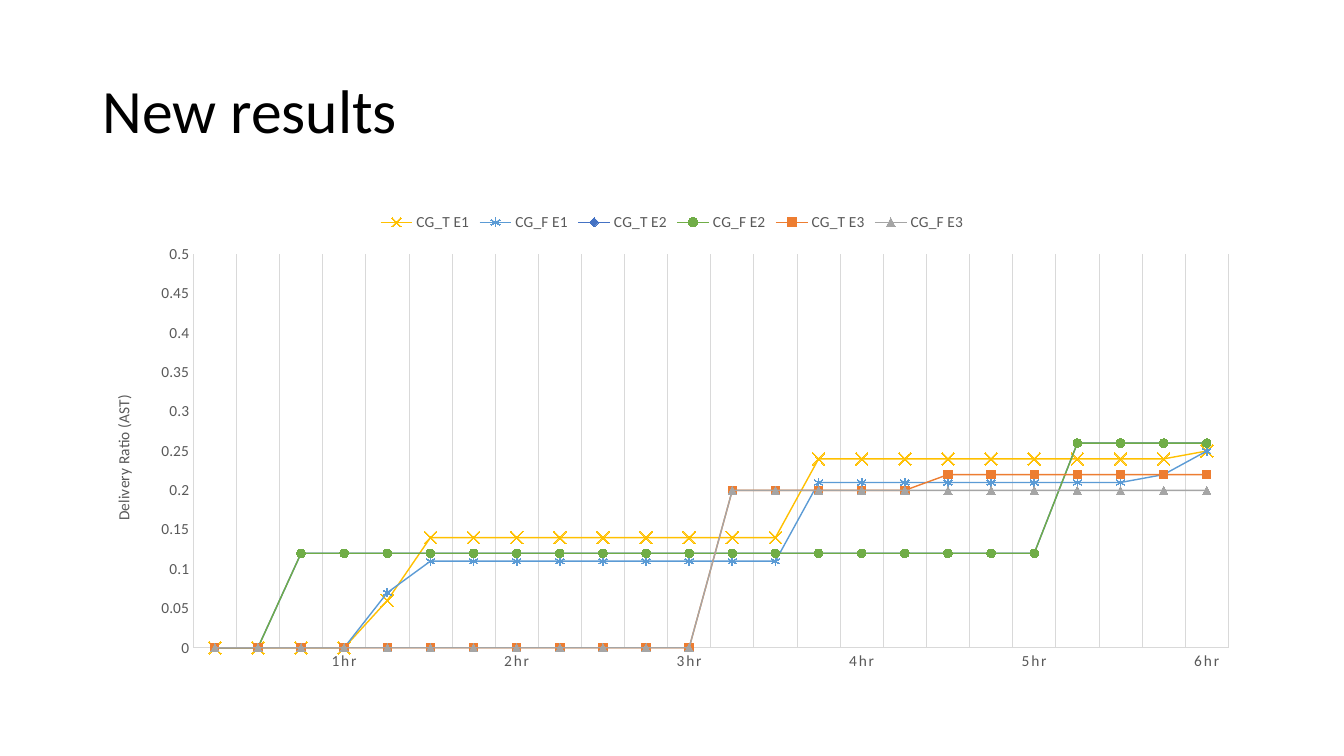
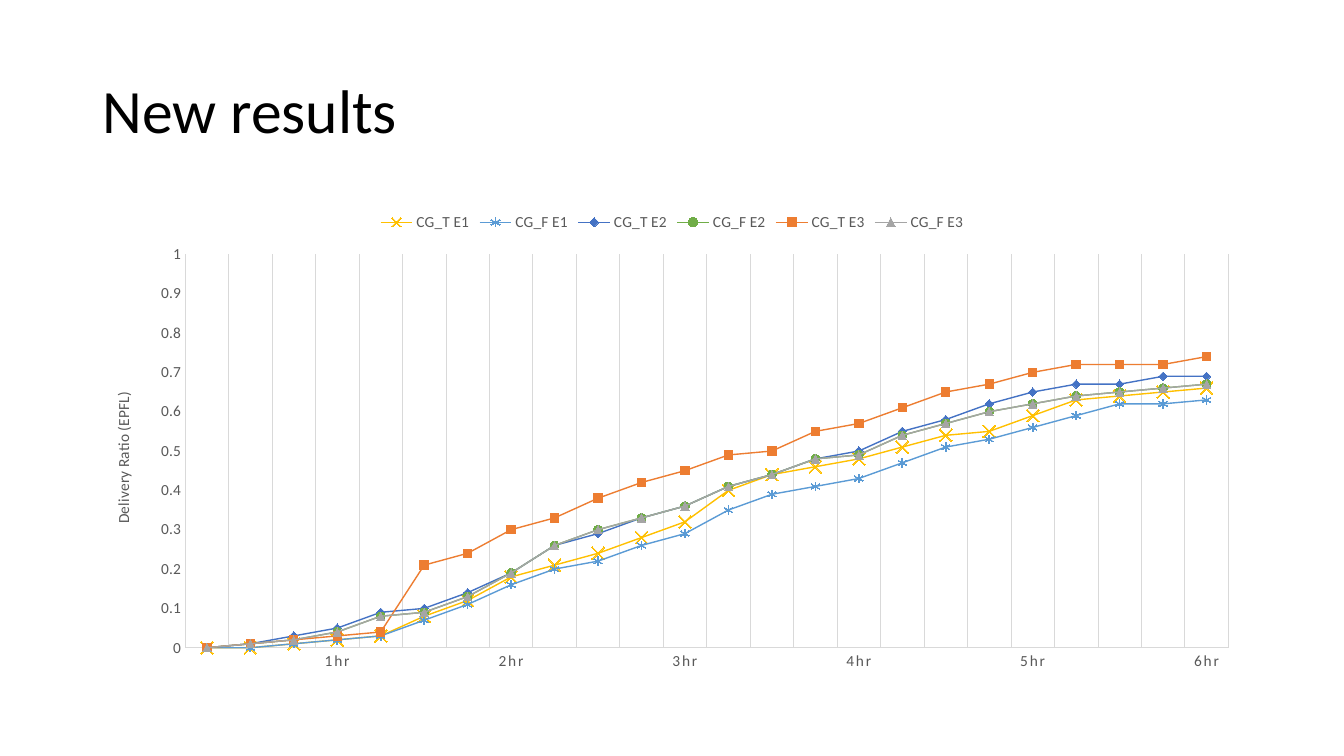
from dataclasses import dataclass

from lxml import etree
from pptx import Presentation
from pptx.chart.axis import CategoryAxis, ValueAxis
from pptx.chart.chart import Chart
from pptx.chart.data import CategoryChartData
from pptx.dml.color import RGBColor
from pptx.enum.chart import XL_CHART_TYPE, XL_LEGEND_POSITION, XL_MARKER_STYLE, XL_TICK_MARK
from pptx.enum.text import MSO_ANCHOR, PP_ALIGN
from pptx.oxml.ns import qn
from pptx.presentation import Presentation as Deck
from pptx.slide import Slide
from pptx.text.text import Font
from pptx.util import Pt

FONT = "Calibri"
BLACK = RGBColor(0x00, 0x00, 0x00)
TEXT_GREY = RGBColor(0x59, 0x59, 0x59)
RULE_GREY = RGBColor(0xD9, 0xD9, 0xD9)
GOLD = RGBColor(0xFF, 0xC0, 0x00)
SKY = RGBColor(0x5B, 0x9B, 0xD5)
BLUE = RGBColor(0x44, 0x72, 0xC4)
GREEN = RGBColor(0x70, 0xAD, 0x47)
ORANGE = RGBColor(0xED, 0x7D, 0x31)
GREY = RGBColor(0xA5, 0xA5, 0xA5)

LEFT, WIDTH = Pt(66), Pt(828)
HOURS = 6
CATEGORIES = [label for h in range(1, HOURS + 1) for label in ("", "", "", f"{h}hr")]


@dataclass(frozen=True)
class SeriesStyle:
    name: str
    color: RGBColor
    marker: XL_MARKER_STYLE
    size: int = 6
    filled: bool = True


@dataclass(frozen=True)
class Result:
    axis_title: str
    maximum: float
    step: float
    plot_left: float
    values: list[list[float]]


STYLES = [
    SeriesStyle("CG_T E1", GOLD, XL_MARKER_STYLE.X, 9, False),
    SeriesStyle("CG_F E1", SKY, XL_MARKER_STYLE.STAR, 6, False),
    SeriesStyle("CG_T E2", BLUE, XL_MARKER_STYLE.DIAMOND),
    SeriesStyle("CG_F E2", GREEN, XL_MARKER_STYLE.CIRCLE),
    SeriesStyle("CG_T E3", ORANGE, XL_MARKER_STYLE.SQUARE),
    SeriesStyle("CG_F E3", GREY, XL_MARKER_STYLE.TRIANGLE),
]

AST_E2 = [0] * 2 + [0.12] * 18 + [0.26] * 4
EPFL_F = [0, 0.01, 0.02, 0.04, 0.08, 0.09, 0.13, 0.19, 0.26, 0.3, 0.33, 0.36,
          0.41, 0.44, 0.48, 0.49, 0.54, 0.57, 0.6, 0.62, 0.64, 0.65, 0.66, 0.67]

RESULTS = [
    Result("Delivery Ratio (AST)", 0.5, 0.05, 0.087, [
        [0] * 4 + [0.06] + [0.14] * 9 + [0.24] * 9 + [0.25],
        [0] * 4 + [0.07] + [0.11] * 9 + [0.21] * 8 + [0.22, 0.25],
        AST_E2,
        AST_E2,
        [0] * 12 + [0.2] * 5 + [0.22] * 7,
        [0] * 12 + [0.2] * 12,
    ]),
    Result("Delivery Ratio (EPFL)", 1, 0.1, 0.08, [
        [0, 0, 0.01, 0.02, 0.03, 0.08, 0.12, 0.18, 0.21, 0.24, 0.28, 0.32,
         0.4, 0.44, 0.46, 0.48, 0.51, 0.54, 0.55, 0.59, 0.63, 0.64, 0.65, 0.66],
        [0, 0, 0.01, 0.02, 0.03, 0.07, 0.11, 0.16, 0.2, 0.22, 0.26, 0.29,
         0.35, 0.39, 0.41, 0.43, 0.47, 0.51, 0.53, 0.56, 0.59, 0.62, 0.62, 0.63],
        [0, 0.01, 0.03, 0.05, 0.09, 0.1, 0.14, 0.19, 0.26, 0.29, 0.33, 0.36,
         0.41, 0.44, 0.48, 0.5, 0.55, 0.58, 0.62, 0.65, 0.67, 0.67, 0.69, 0.69],
        EPFL_F,
        [0, 0.01, 0.02, 0.03, 0.04, 0.21, 0.24, 0.3, 0.33, 0.38, 0.42, 0.45,
         0.49, 0.5, 0.55, 0.57, 0.61, 0.65, 0.67, 0.7, 0.72, 0.72, 0.72, 0.74],
        EPFL_F,
    ]),
]


def set_font(font: Font, size: float, color: RGBColor) -> None:
    font.name, font.size, font.bold = FONT, Pt(size), False
    font.color.rgb = color


def add_title(slide: Slide, text: str) -> None:
    sp = slide.shapes.title
    sp.left, sp.top, sp.width, sp.height = LEFT, Pt(28.75), WIDTH, Pt(104.5)
    tf = sp.text_frame
    tf.vertical_anchor = MSO_ANCHOR.MIDDLE
    p = tf.paragraphs[0]
    p.alignment, p.line_spacing = PP_ALIGN.LEFT, 0.9
    r = p.add_run()
    r.text = text
    set_font(r.font, 44, BLACK)


def style_axis(axis: CategoryAxis | ValueAxis) -> None:
    axis.major_tick_mark = axis.minor_tick_mark = XL_TICK_MARK.NONE
    axis.format.line.color.rgb = RULE_GREY
    axis.format.line.width = Pt(0.75)
    set_font(axis.tick_labels.font, 11, TEXT_GREY)


def add_axis_title(axis: ValueAxis, text: str) -> None:
    tf = axis.axis_title.text_frame
    body = tf._txBody.find(qn("a:bodyPr"))
    body.set("rot", "-5400000")
    body.set("vert", "horz")
    r = tf.paragraphs[0].add_run()
    r.text = text
    set_font(r.font, 11, TEXT_GREY)


def place_plot(chart: Chart, left: float) -> None:
    """Fix the inner plot area, in fractions of the chart, with a common right edge."""
    area = chart._chartSpace.find(".//" + qn("c:plotArea"))
    for old in area.findall(qn("c:layout")):
        area.remove(old)
    layout = etree.Element(qn("c:layout"))
    manual = etree.SubElement(layout, qn("c:manualLayout"))
    settings = [("layoutTarget", "inner"), ("xMode", "edge"), ("yMode", "edge"),
                ("x", left), ("y", 0.11), ("w", 0.98 - left), ("h", 0.82)]
    for tag, value in settings:
        etree.SubElement(manual, qn(f"c:{tag}")).set("val", str(value))
    area.insert(0, layout)


def style_series(chart: Chart) -> None:
    for series, style in zip(chart.plots[0].series, STYLES):
        series.smooth = False
        series.format.line.color.rgb = style.color
        series.format.line.width = Pt(1)
        marker = series.marker
        marker.style, marker.size = style.marker, style.size
        marker.format.line.color.rgb = style.color
        marker.format.line.width = Pt(0.75)
        if style.filled:
            marker.format.fill.solid()
            marker.format.fill.fore_color.rgb = style.color
        else:
            marker.format.fill.background()


def add_result_chart(slide: Slide, result: Result) -> None:
    data = CategoryChartData()
    data.categories = CATEGORIES
    for style, values in zip(STYLES, result.values):
        data.add_series(style.name, values)
    chart = slide.shapes.add_chart(
        XL_CHART_TYPE.LINE_MARKERS, LEFT, Pt(144), WIDTH, Pt(342.75), data).chart
    set_font(chart.font, 11, BLACK)
    chart.has_title = False
    chart.plots[0].vary_by_categories = False
    chart.has_legend = True
    chart.legend.position = XL_LEGEND_POSITION.TOP
    chart.legend.include_in_layout = False
    set_font(chart.legend.font, 11, TEXT_GREY)

    hours, ratio = chart.category_axis, chart.value_axis
    style_axis(hours)
    hours.tick_labels.font._rPr.set("spc", "120")
    hours.has_major_gridlines = True
    hours.major_gridlines.format.line.color.rgb = RULE_GREY
    hours.major_gridlines.format.line.width = Pt(0.5)

    style_axis(ratio)
    ratio.has_major_gridlines = False
    ratio.minimum_scale, ratio.maximum_scale = 0, result.maximum
    ratio.major_unit = result.step
    add_axis_title(ratio, result.axis_title)
    place_plot(chart, result.plot_left)
    style_series(chart)


def add_result_slide(prs: Deck, result: Result) -> None:
    slide = prs.slides.add_slide(prs.slide_layouts.get_by_name("Title Only"))
    add_title(slide, "New results")
    add_result_chart(slide, result)


def main() -> None:
    prs = Presentation()
    prs.slide_width, prs.slide_height = Pt(960), Pt(540)
    for result in RESULTS:
        add_result_slide(prs, result)
    prs.save("out.pptx")


if __name__ == "__main__":
    main()
